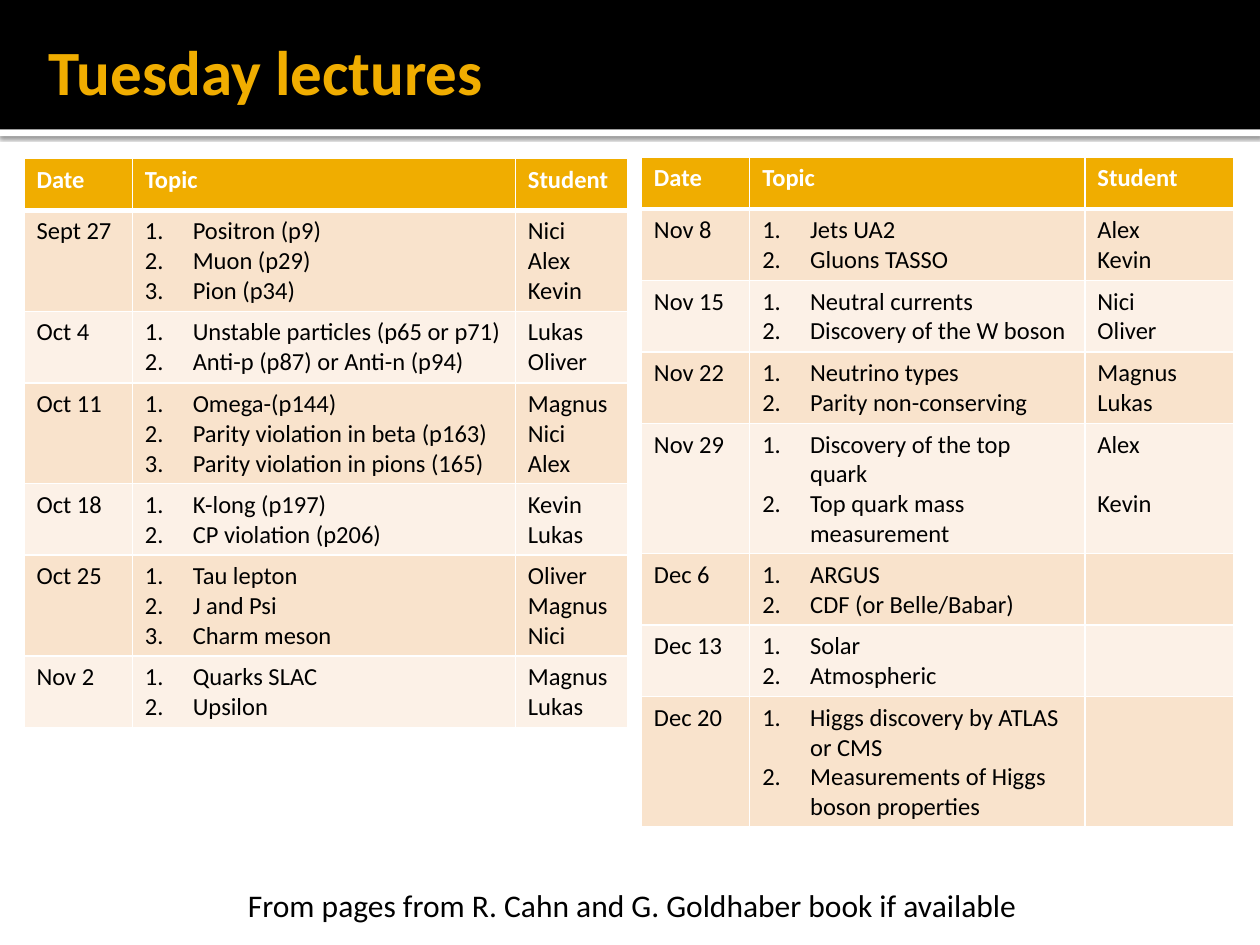
"""Build the Tuesday lectures slide: a title band, two schedule tables and a source note."""
from lxml.etree import SubElement
from pptx import Presentation
from pptx.dml.color import RGBColor as RGB
from pptx.enum.shapes import MSO_SHAPE as Shape
from pptx.enum.text import MSO_ANCHOR as Anchor
from pptx.oxml.ns import qn
from pptx.util import Inches, Pt

COLORS = {"gold": "F0AD00", "black": "000000", "white": "FFFFFF",
          "dark band": "F9E3CC", "light band": "FCF1E7"}
HEADINGS = ("Date", ["Topic"], ["Student"])
SCHEDULES = [
    {"left": 0.019, "top": 0.168, "columns": (0.086, 0.304, 0.089), "lectures": [
        ("Sept 27", ["Positron (p9)", "Muon (p29)", "Pion (p34)"], ["Nici", "Alex", "Kevin"]),
        ("Oct 4", ["Unstable particles (p65 or p71)", "Anti-p (p87) or Anti-n (p94)"],
         ["Lukas", "Oliver"]),
        ("Oct 11", ["Omega-(p144)", "Parity violation in beta (p163)",
                    "Parity violation in pions (165)"], ["Magnus", "Nici", "Alex"]),
        ("Oct 18", ["K-long (p197)", "CP violation (p206)"], ["Kevin", "Lukas"]),
        ("Oct 25", ["Tau lepton", "J and Psi", "Charm meson"], ["Oliver", "Magnus", "Nici"]),
        ("Nov 2", ["Quarks SLAC", "Upsilon"], ["Magnus", "Lukas"])]},
    {"left": 0.509, "top": 0.1665, "columns": (0.086, 0.266, 0.118), "lectures": [
        ("Nov 8", ["Jets UA2", "Gluons TASSO"], ["Alex", "Kevin"]),
        ("Nov 15", ["Neutral currents", "Discovery of the W boson"], ["Nici", "Oliver"]),
        ("Nov 22", ["Neutrino types", "Parity non-conserving"], ["Magnus", "Lukas"]),
        ("Nov 29", ["Discovery of the top quark", "Top quark mass measurement"],
         ["Alex", "Kevin"]),
        ("Dec 6", ["ARGUS", "CDF (or Belle/Babar)"], []),
        ("Dec 13", ["Solar", "Atmospheric"], []),
        ("Dec 20", ["Higgs discovery by ATLAS or CMS",
                    "Measurements of Higgs boson properties"], [])]},
]
SECOND_STUDENT_GAP = {"Nov 29": Pt(17)}

deck = Presentation()
deck.slide_width, deck.slide_height = Inches(10), Inches(7.5)
WIDTH, HEIGHT = deck.slide_width, deck.slide_height
ROW = Inches(0.41)
page = deck.slides.add_slide(deck.slide_layouts[6])


def write(frame, lines, color, size, bold=False, numbered=False):
    frame.text = "\n".join(lines)
    for para in frame.paragraphs:
        if numbered:
            props = para._p.get_or_add_pPr()
            props.set("marL", str(Inches(0.38)))
            props.set("indent", str(-Inches(0.38)))
            SubElement(props, qn("a:buFont"), typeface="+mj-lt")
            SubElement(props, qn("a:buAutoNum"), type="arabicPeriod")
        for target in [para, *para.runs]:
            for name, value in {"name": "Calibri", "size": Pt(size), "bold": bold}.items():
                setattr(target.font, name, value)
            target.font.color.rgb = RGB.from_string(COLORS[color])


def add_line(props, side, width):
    line = SubElement(props, qn(f"a:{side}"), w=str(Pt(width)))
    SubElement(SubElement(line, qn("a:solidFill")), qn("a:srgbClr"), val=COLORS["white"])


for color, top, height in [("white", 0.137, 0.007), ("black", 0, 0.137)]:
    band = page.shapes.add_shape(Shape.RECTANGLE, 0, int(HEIGHT * top), WIDTH, int(HEIGHT * height))
    band.shadow.inherit = False
    band.fill.solid()
    band.fill.fore_color.rgb = RGB.from_string(COLORS[color])
    band.line.fill.background()
    if color == "white":
        effects = band._element.spPr.find(qn("a:effectLst"))
        shadow = SubElement(effects, qn("a:outerShdw"), blurRad=str(Pt(2.5)),
                            dist=str(Pt(0.8)), dir="5400000", algn="tl", rotWithShape="0")
        tone = SubElement(shadow, qn("a:srgbClr"), val=COLORS["black"])
        SubElement(tone, qn("a:alpha"), val="60000")

title = page.shapes.add_textbox(int(WIDTH * 0.029), int(HEIGHT * 0.017),
                                int(WIDTH * 0.949), int(HEIGHT * 0.115))
title_format = {"word_wrap": True, "vertical_anchor": Anchor.MIDDLE, "margin_left": Inches(0.1),
                "margin_right": Inches(0.05)}
for name, value in title_format.items():
    setattr(title.text_frame, name, value)
write(title.text_frame, ["Tuesday lectures"], "gold", 36, bold=True)

for schedule in SCHEDULES:
    rows = [HEADINGS, *schedule["lectures"]]
    columns = [int(WIDTH * share) for share in schedule["columns"]]
    table = page.shapes.add_table(len(rows), len(columns), int(WIDTH * schedule["left"]),
                                  int(HEIGHT * schedule["top"]), sum(columns),
                                  ROW * len(rows)).table
    table.horz_banding = False
    for column, width in zip(table.columns, columns):
        column.width = width
    for r, (date, topics, students) in enumerate(rows):
        header = r == 0
        fill = "gold" if header else "dark band" if r % 2 else "light band"
        table.rows[r].height = ROW
        for c, lines in enumerate([[date], topics, students]):
            cell = table.cell(r, c)
            props = cell._tc.get_or_add_tcPr()
            for side, width in {"lnL": 1, "lnR": 1, "lnT": 3 if r == 1 else 1,
                                "lnB": 3 if header else 1}.items():
                add_line(props, side, width)
            cell.fill.solid()
            cell.fill.fore_color.rgb = RGB.from_string(COLORS[fill])
            write(cell.text_frame, lines, "white" if header else "black", 14,
                  bold=header, numbered=c == 1 and not header)
        if date in SECOND_STUDENT_GAP:
            table.cell(r, 2).text_frame.paragraphs[1].space_before = SECOND_STUDENT_GAP[date]

note = page.shapes.add_textbox(int(WIDTH * 0.187), int(HEIGHT * 0.931),
                               int(WIDTH * 0.643), int(HEIGHT * 0.053))
note.text_frame.word_wrap = False
write(note.text_frame, ["From pages from R. Cahn and G. Goldhaber book if available"], "black", 18)

deck.save("out.pptx")
